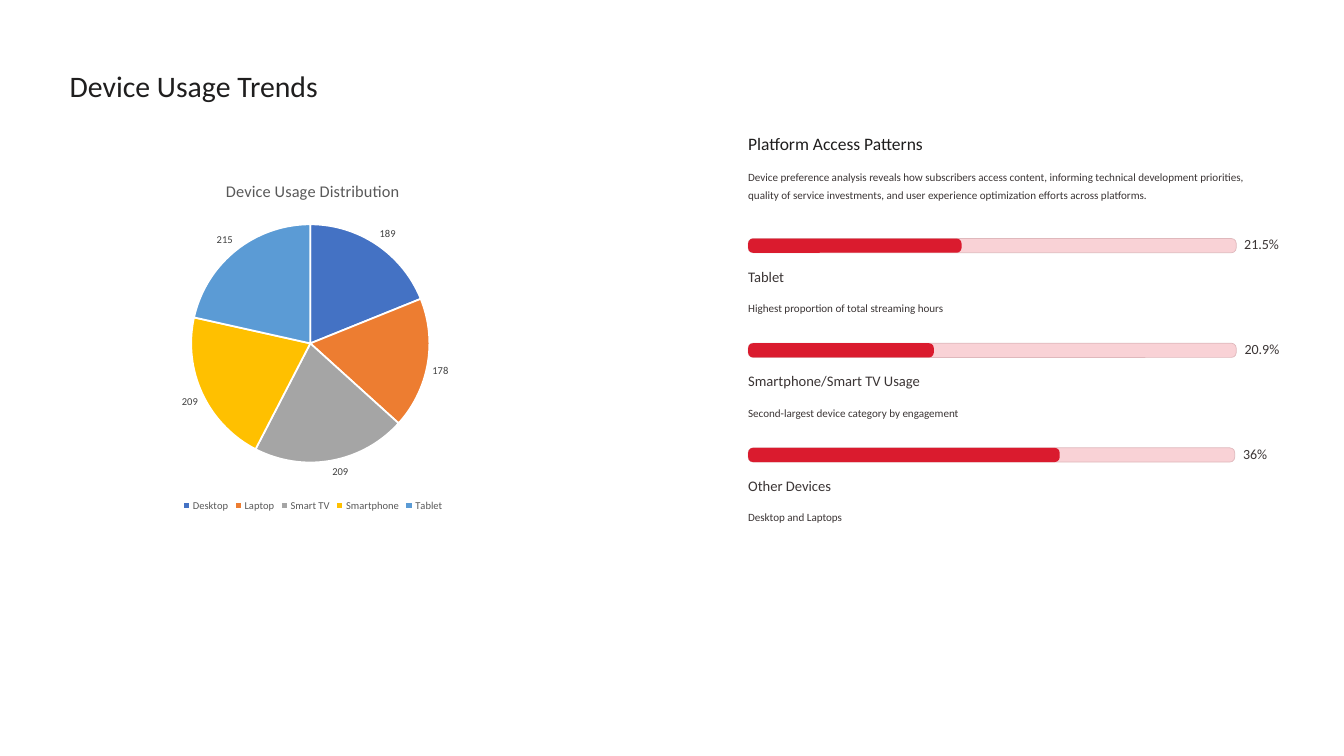
from dataclasses import dataclass

from pptx import Presentation
from pptx import util as u
from pptx.chart.data import CategoryChartData
from pptx.dml.color import RGBColor
from pptx.enum import chart as charts, shapes, text

COLORS = {
    "background": "FFFFFF", "heading": "1F1E1E", "body": "3B3535",
    "track": "F9D2D6", "track_line": "DFB8BC", "bar": "DA1B2E",
    "chart_text": "595959", "chart_label": "404040",
}
DEVICES = {
    "Desktop": (189, "4472C4"), "Laptop": (178, "ED7D31"),
    "Smart TV": (209, "A5A5A5"), "Smartphone": (209, "FFC000"),
    "Tablet": (215, "5B9BD5"),
}
FONT_NAME = "Calibri"
PANEL_LEFT, PANEL_WIDTH = 641.3, 451.5
FIRST_BAR_TOP, BAR_PITCH, BAR_HEIGHT = 204.5, 89.7, 12.2
VALUE_WIDTH, NAME_WIDTH = 36, 180


@dataclass
class TextStyle:
    size: float
    line_spacing: float
    color: str


TITLE = TextStyle(25.5, 31.5, "heading")
HEADING = TextStyle(15, 19, "heading")
BODY = TextStyle(9.5, 15.5, "body")
NAME = TextStyle(12.5, 15.5, "body")
VALUE = TextStyle(12, 12, "body")


@dataclass
class UsageBar:
    name: str
    note: str
    value: str
    value_left: float
    track_width: float
    bar_width: float


USAGE_BARS = [
    UsageBar("Tablet", "Highest proportion of total streaming hours",
             "21.5%", 1066.5, 418.3, 182.9),
    UsageBar("Smartphone/Smart TV Usage", "Second-largest device category by engagement",
             "20.9%", 1066.8, 418.3, 159.1),
    UsageBar("Other Devices", "Desktop and Laptops", "36%", 1065.5, 417, 267),
]


def color(name: str) -> RGBColor:
    return RGBColor.from_string(COLORS[name])


def style_font(font, size: float, color_name: str) -> None:
    for attribute, value in {"name": FONT_NAME, "size": u.Pt(size), "bold": False}.items():
        setattr(font, attribute, value)
    font.color.rgb = color(color_name)


def add_text(slide, words: str, left: float, top: float, width: float,
             height: float, style: TextStyle, wrap: bool = False) -> None:
    frame = slide.shapes.add_textbox(
        u.Pt(left), u.Pt(top), u.Pt(width), u.Pt(height)).text_frame
    settings = {"margin_left": 0, "margin_top": 0, "margin_right": 0, "margin_bottom": 0,
                "word_wrap": wrap, "vertical_anchor": text.MSO_ANCHOR.TOP}
    for attribute, value in settings.items():
        setattr(frame, attribute, value)
    paragraph = frame.paragraphs[0]
    paragraph.line_spacing = u.Pt(style.line_spacing)
    run = paragraph.add_run()
    run.text = words
    style_font(run.font, style.size, style.color)


def add_rounded_bar(slide, top: float, width: float, fill: str, line: str = "") -> None:
    shape = slide.shapes.add_shape(
        shapes.MSO_SHAPE.ROUNDED_RECTANGLE,
        u.Pt(PANEL_LEFT), u.Pt(top), u.Pt(width), u.Pt(BAR_HEIGHT))
    shape.adjustments[0] = 0.34
    shape.shadow.inherit = False
    shape.fill.solid()
    shape.fill.fore_color.rgb = color(fill)
    if line:
        shape.line.color.rgb = color(line)
        shape.line.width = u.Pt(0.6)
    else:
        shape.line.fill.background()


def add_usage_bar(slide, usage: UsageBar, top: float) -> None:
    add_rounded_bar(slide, top, usage.track_width, "track", "track_line")
    add_rounded_bar(slide, top, usage.bar_width, "bar")
    add_text(slide, usage.value, usage.value_left, top, VALUE_WIDTH, BAR_HEIGHT, VALUE)
    add_text(slide, usage.name, PANEL_LEFT, top + 24.3, NAME_WIDTH, 15.8, NAME)
    add_text(slide, usage.note, PANEL_LEFT, top + 49.8, PANEL_WIDTH, 15.8, BODY)


def add_device_chart(slide) -> None:
    data = CategoryChartData()
    data.categories = list(DEVICES)
    data.add_series("Series 1", [count for count, _ in DEVICES.values()])
    chart = slide.shapes.add_chart(
        charts.XL_CHART_TYPE.PIE, u.Pt(59), u.Pt(141.5), u.Pt(418.3), u.Pt(300.2), data).chart
    style_font(chart.font, 10, "chart_text")

    # Title and legend
    chart.has_title = True
    title = chart.chart_title.text_frame
    title.text = "Device Usage Distribution"
    style_font(title.paragraphs[0].runs[0].font, 14, "chart_text")
    chart.has_legend = True
    chart.legend.position = charts.XL_LEGEND_POSITION.BOTTOM
    chart.legend.include_in_layout = False
    style_font(chart.legend.font, 9, "chart_text")

    # Slices and labels
    plot = chart.plots[0]
    plot.vary_by_categories = True
    for index, (_, slice_color) in enumerate(DEVICES.values()):
        slice_format = plot.series[0].points[index].format
        slice_format.fill.solid()
        slice_format.fill.fore_color.rgb = RGBColor.from_string(slice_color)
        slice_format.line.color.rgb = color("background")
        slice_format.line.width = u.Pt(1.5)
    labels = plot.series[0].data_labels
    labels.show_value = True
    labels.position = charts.XL_LABEL_POSITION.OUTSIDE_END
    style_font(labels.font, 9, "chart_label")


def main() -> None:
    presentation = Presentation()
    presentation.slide_width, presentation.slide_height = u.Pt(1152), u.Pt(648)
    slide = presentation.slides.add_slide(presentation.slide_layouts[6])
    slide.background.fill.solid()
    slide.background.fill.fore_color.rgb = color("background")

    # Headings and introduction
    add_text(slide, "Device Usage Trends", 59.6, 57.6, 273, 31.7, TITLE)
    add_text(slide, "Platform Access Patterns", PANEL_LEFT, 113.4, 197.3, 19.4, HEADING)
    add_text(slide, "Device preference analysis reveals how subscribers access content, "
             "informing technical development priorities, quality of service investments, "
             "and user experience optimization efforts across platforms.",
             PANEL_LEFT, 142.2, PANEL_WIDTH, 46.8, BODY, wrap=True)

    # Usage bars
    for index, usage in enumerate(USAGE_BARS):
        add_usage_bar(slide, usage, FIRST_BAR_TOP + index * BAR_PITCH)

    # Pie chart
    add_device_chart(slide)
    presentation.save("out.pptx")


if __name__ == "__main__":
    main()
